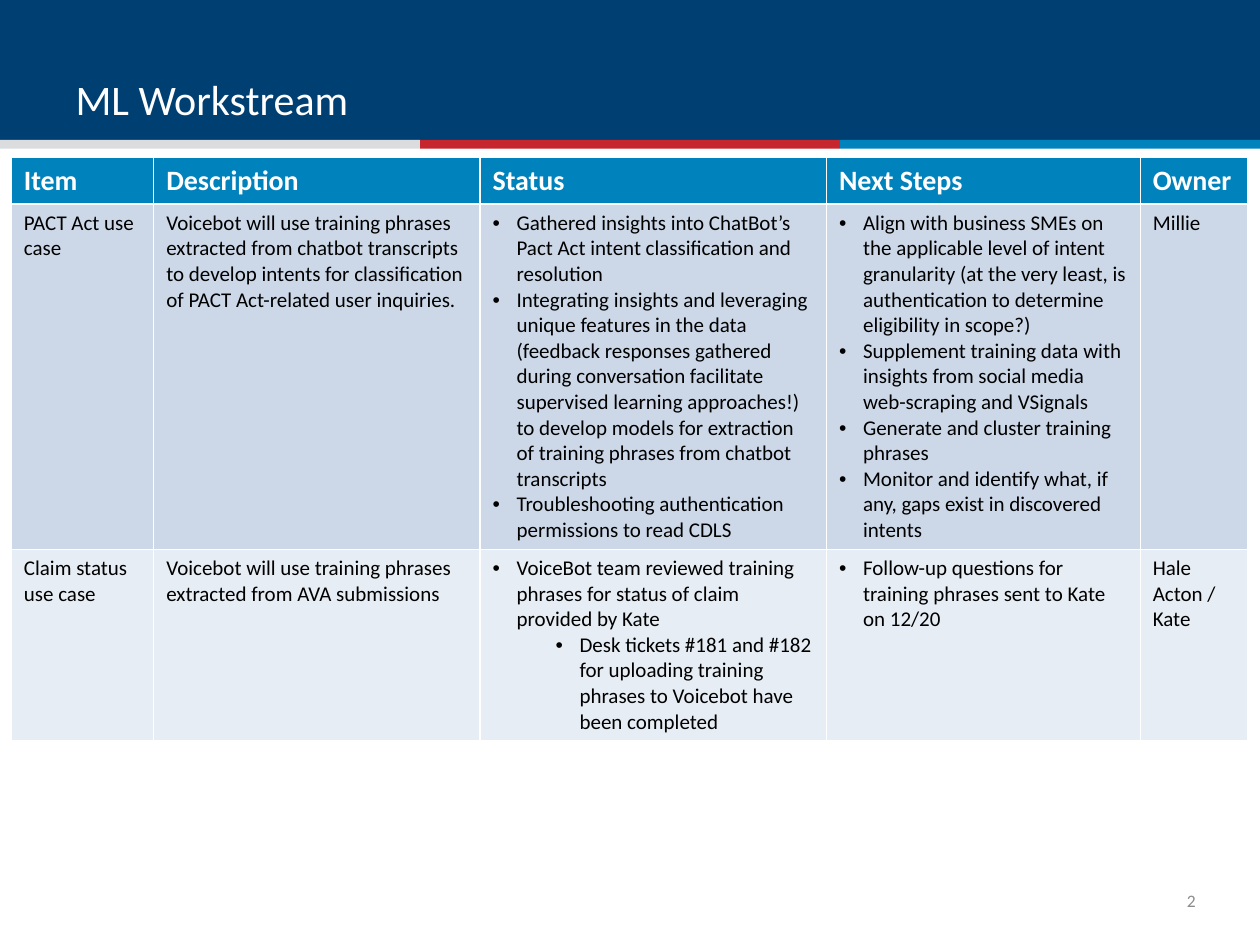
from lxml.etree import SubElement
from pptx import Presentation
from pptx.dml.color import RGBColor
from pptx.enum.shapes import MSO_SHAPE
from pptx.enum.text import MSO_ANCHOR, PP_ALIGN
from pptx.oxml.ns import qn
from pptx.util import Inches, Pt

COLORS = {
    "navy": "003F72", "gray": "DBDCDE", "red": "C6262D", "blue": "0082BD",
    "white": "FFFFFF", "black": "000000", "number": "8C8C8C",
    "row_dark": "CCD8E8", "row_light": "E7EDF4",
}
FONT = "Calibri"
BULLET_INDENT = 0.19


def format_runs(paragraph, size, color, bold=False):
    for run in paragraph.runs:
        run.font.name, run.font.size, run.font.bold = FONT, Pt(size), bold
        run.font.color.rgb = RGBColor.from_string(COLORS[color])


def add_bar(left, top, width, height, color):
    bar = slide.shapes.add_shape(MSO_SHAPE.RECTANGLE, left, top, width, height)
    bar.shadow.inherit = False
    bar.fill.solid()
    bar.fill.fore_color.rgb = RGBColor.from_string(COLORS[color])
    bar.line.fill.background()


presentation = Presentation()
presentation.slide_width, presentation.slide_height = Inches(10), Inches(7.5)
slide = presentation.slides.add_slide(presentation.slide_layouts[5])

# Header band and three-colour stripe
slide_width = presentation.slide_width
add_bar(0, 0, slide_width, Inches(1.14), "navy")
stripe_width = slide_width // 3
for index, color in enumerate(["gray", "red", "blue"]):
    add_bar(index * stripe_width, Inches(1.11), stripe_width, Inches(0.07), color)

# Title, brought in front of the band
title = slide.shapes.title
title.left, title.top = Inches(0.5), Inches(0.14)
title.width, title.height = Inches(9), Inches(0.89)
title.text_frame.text = "ML Workstream"
title.text_frame.vertical_anchor = MSO_ANCHOR.BOTTOM
title.text_frame.paragraphs[0].alignment = PP_ALIGN.LEFT
format_runs(title.text_frame.paragraphs[0], 24, "white")
title.element.getparent().append(title.element)

# Page number
number = slide.shapes.add_textbox(Inches(9.22), Inches(6.95), Inches(0.27), Inches(0.4))
frame = number.text_frame
frame.margin_left = frame.margin_right = frame.margin_top = frame.margin_bottom = 0
frame.word_wrap = True
frame.vertical_anchor = MSO_ANCHOR.MIDDLE
frame.text = "2"
frame.paragraphs[0].alignment = PP_ALIGN.RIGHT
format_runs(frame.paragraphs[0], 10, "number")

# Table content: a string is plain text, a list holds (level, text) bullets
rows = [
    ["Item", "Description", "Status", "Next Steps", "Owner"],
    [
        "PACT Act use case",
        "Voicebot will use training phrases extracted from chatbot transcripts to "
        "develop intents for classification of PACT Act-related user inquiries.",
        [
            (0, "Gathered insights into ChatBot’s Pact Act intent classification and resolution"),
            (0, "Integrating insights and leveraging unique features in the data "
                "(feedback responses gathered during conversation facilitate supervised "
                "learning approaches!) to develop models for extraction of training "
                "phrases from chatbot transcripts"),
            (0, "Troubleshooting authentication permissions to read CDLS"),
        ],
        [
            (0, "Align with business SMEs on the applicable level of intent granularity "
                "(at the very least, is authentication to determine eligibility in scope?)"),
            (0, "Supplement training data with insights from social media web-scraping "
                "and VSignals"),
            (0, "Generate and cluster training phrases"),
            (0, "Monitor and identify what, if any, gaps exist in discovered intents"),
        ],
        "Millie",
    ],
    [
        "Claim status use case",
        "Voicebot will use training phrases extracted from AVA submissions",
        [
            (0, "VoiceBot team reviewed training phrases for status of claim provided by Kate"),
            (1, "Desk tickets #181 and #182 for uploading training phrases to Voicebot "
                "have been completed"),
        ],
        [(0, "Follow-up questions for training phrases sent to Kate on 12/20")],
        "Hale Acton / Kate",
    ],
]
column_widths = [1.13, 2.59, 2.75, 2.49, 0.85]
row_heights = [0.37, 2.74, 1.52]
row_fills = ["blue", "row_dark", "row_light"]

# Table; its default style draws the white rules
table = slide.shapes.add_table(
    len(rows), len(column_widths), Inches(0.09), Inches(1.25),
    Inches(sum(column_widths)), Inches(sum(row_heights))).table
for column, width in zip(table.columns, column_widths):
    column.width = Inches(width)
for row, height in zip(table.rows, row_heights):
    row.height = Inches(height)

for row_index, row_content in enumerate(rows):
    is_header = row_index == 0
    size, color = (16, "white") if is_header else (12, "black")
    for column_index, content in enumerate(row_content):
        cell = table.cell(row_index, column_index)
        cell.fill.solid()
        cell.fill.fore_color.rgb = RGBColor.from_string(COLORS[row_fills[row_index]])
        bulleted = isinstance(content, list)
        items = content if bulleted else [(0, content)]
        cell.text_frame.text = "\n".join(text for _, text in items)
        for paragraph, (level, _) in zip(cell.text_frame.paragraphs, items):
            if bulleted:
                paragraph.level = level
                properties = paragraph._p.get_or_add_pPr()
                properties.set("marL", str(Inches(BULLET_INDENT + level * 0.5)))
                properties.set("indent", str(-Inches(BULLET_INDENT)))
                SubElement(properties, qn("a:buFont"), typeface="Arial")
                SubElement(properties, qn("a:buChar"), char="•")
            format_runs(paragraph, size, color, is_header)

presentation.save("out.pptx")
